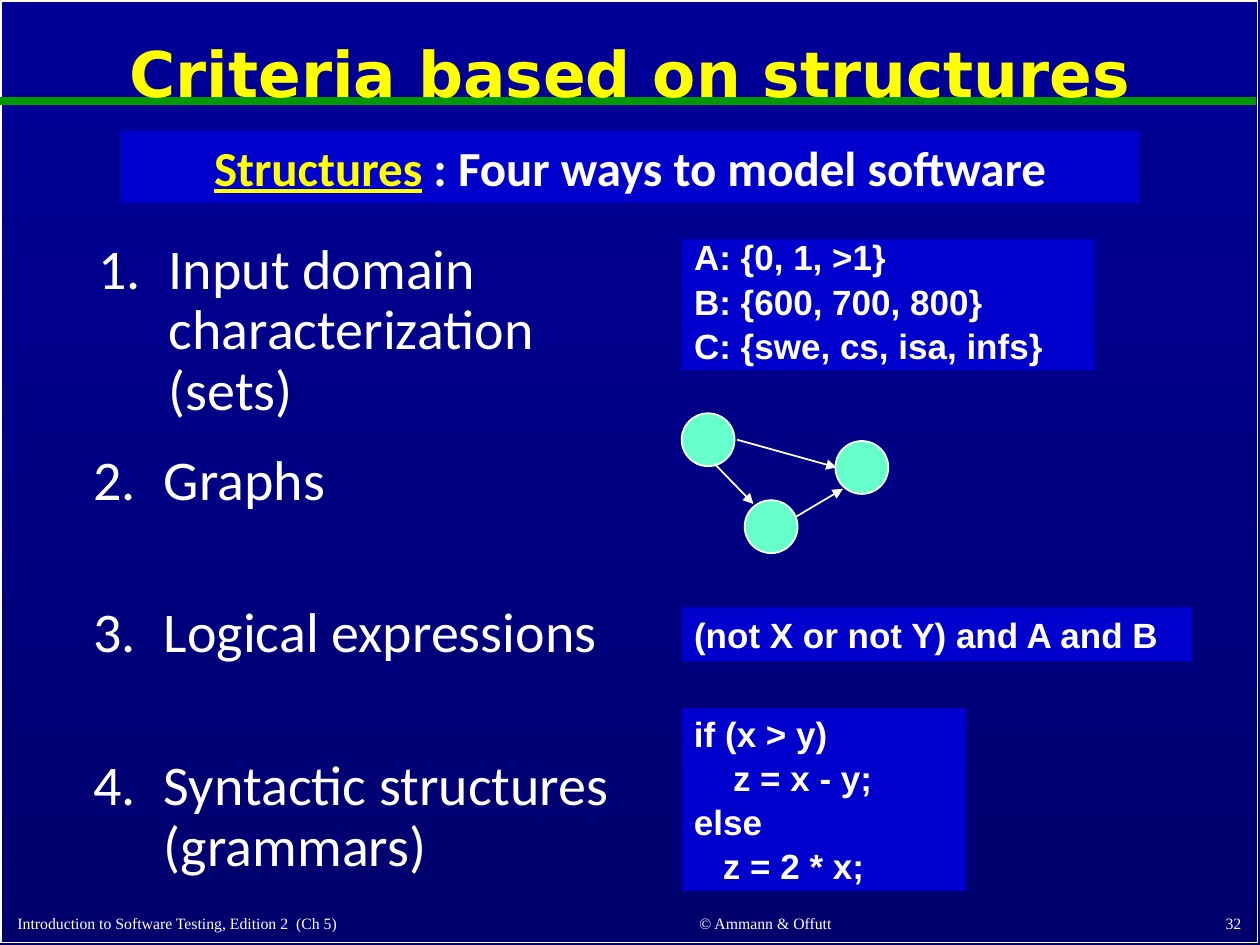
from lxml import etree
from pptx import Presentation
from pptx.dml.color import RGBColor
from pptx.enum.shapes import MSO_CONNECTOR, MSO_SHAPE
from pptx.enum.text import MSO_ANCHOR, MSO_AUTO_SIZE, PP_ALIGN
from pptx.oxml.ns import qn
from pptx.util import Inches, Pt

WHITE = RGBColor(0xFF, 0xFF, 0xFF)
YELLOW = RGBColor(0xFF, 0xFF, 0x00)
GREEN = RGBColor(0x00, 0x99, 0x00)
PANEL_BLUE = RGBColor(0x00, 0x00, 0xCC)
MINT = RGBColor(0x66, 0xFF, 0xCC)
TOP_BLUE = RGBColor(0x00, 0x00, 0x99)
BOTTOM_BLUE = RGBColor(0x00, 0x00, 0x6D)
LEFT, CENTER, RIGHT = PP_ALIGN.LEFT, PP_ALIGN.CENTER, PP_ALIGN.RIGHT
TOP, MIDDLE, BOTTOM = MSO_ANCHOR.TOP, MSO_ANCHOR.MIDDLE, MSO_ANCHOR.BOTTOM
RECTANGLE, OVAL = MSO_SHAPE.RECTANGLE, MSO_SHAPE.OVAL
STRAIGHT = MSO_CONNECTOR.STRAIGHT
NO_AUTOFIT = MSO_AUTO_SIZE.NONE


def write(shape, text, font, size, color=WHITE, bold=False, align=LEFT,
          anchor=MIDDLE, spacing=1.0):
    """Fill a shape with text in one uniform format."""
    frame = shape.text_frame
    frame.text = text
    frame.word_wrap = True
    frame.auto_size = NO_AUTOFIT
    frame.vertical_anchor = anchor
    for paragraph in frame.paragraphs:
        paragraph.alignment = align
        paragraph.line_spacing = spacing
        paragraph.space_before = Pt(0)
        for run in paragraph.runs:
            run.font.name = font
            run.font.size = Pt(size)
            run.font.bold = bold
            run.font.color.rgb = color
    return frame


def add_line(shapes, x1, y1, x2, y2, color, width):
    line = shapes.add_connector(STRAIGHT, Inches(x1), Inches(y1), Inches(x2), Inches(y2))
    line.line.color.rgb = color
    line.line.width = Pt(width)
    etree.SubElement(line._element.spPr, qn("a:effectLst"))
    return line


prs = Presentation()
prs.slide_width, prs.slide_height = Inches(10), Inches(7.5)
# The comparison layout offers a title and four body placeholders.
slide = prs.slides.add_slide(prs.slide_layouts[4])
shapes = slide.shapes

background = slide.background.fill
background.gradient()
background.gradient_angle = 270
for stop, color, position in zip(background.gradient_stops, (TOP_BLUE, BOTTOM_BLUE), (0, 1)):
    stop.color.rgb = color
    stop.position = position

# Frame and rule lie behind the title
frame_border = shapes.add_shape(RECTANGLE, Inches(0.01), Inches(0.01), Inches(9.97), Inches(7.47))
frame_border.shadow.inherit = False
frame_border.fill.background()
frame_border.line.color.rgb = WHITE
frame_border.line.width = Pt(1)
title_rule = add_line(shapes, 0, 0.8, 9.97, 0.8, GREEN, 4.5)
for backdrop in (title_rule, frame_border):
    shapes._spTree.insert(2, backdrop._element)

title = shapes.title
title.left, title.top, title.width, title.height = map(Inches, (0.05, 0.11, 9.9, 1))
write(title, "Criteria based on structures", "DejaVu Sans", 36, YELLOW, True, CENTER, spacing=0.9)

# Footer
for text, left, width, align in (
    ("Introduction to Software Testing, Edition 2  (Ch 5)", 0.04, 4.2, LEFT),
    ("© Ammann & Offutt", 4.49, 3.17, CENTER),
    ("32", 7.87, 2.08, RIGHT),
):
    footer = shapes.add_textbox(Inches(left), Inches(7.17), Inches(width), Inches(0.28))
    write(footer, text, "Times New Roman", 9, align=align, anchor=BOTTOM)

# Numbered ways to model software
ways = (
    ("Input domain characterization (sets)", 0.68, 1.9, 1.46),
    ("Graphs", 0.64, 3.51, 0.64),
    ("Logical expressions", 0.64, 4.63, 0.81),
    ("Syntactic structures (grammars)", 0.64, 5.91, 1.16),
)
bodies = [holder for holder in slide.placeholders if holder.placeholder_format.idx > 0]
for number, (body, (text, left, top, height)) in enumerate(zip(bodies, ways), 1):
    body.left, body.top, body.width, body.height = map(Inches, (left, top, 4.39, height))
    way = write(body, text, "Calibri", 32, spacing=0.9).paragraphs[0]
    properties = way._p.get_or_add_pPr()
    properties.set("marL", str(Inches(0.56)))
    properties.set("indent", str(-Inches(0.56)))
    bullet_color = etree.SubElement(properties, qn("a:buClr"))
    etree.SubElement(bullet_color, qn("a:srgbClr"), val=str(WHITE))
    etree.SubElement(properties, qn("a:buFont"), typeface="Calibri")
    etree.SubElement(properties, qn("a:buAutoNum"), type="arabicPeriod", startAt=str(number))

# Blue panels: heading and one example for each textual structure
panels = []
for text, box, font, size, align, anchor, spacing in (
    ("Structures : Four ways to model software", (0.96, 1.04, 8.08, 0.57),
     "Calibri", 28, CENTER, TOP, 1.0),
    ("A: {0, 1, >1}\nB: {600, 700, 800}\nC: {swe, cs, isa, infs}", (5.41, 1.9, 3.28, 1.04),
     "Arial", 20, LEFT, BOTTOM, 0.6),
    ("(not X or not Y) and A and B", (5.41, 4.82, 4.05, 0.43),
     "Arial", 20, LEFT, TOP, 1.0),
    ("if (x > y)\nz = x - y;\nelse\nz = 2 * x;", (5.41, 5.62, 2.26, 1.45),
     "Arial", 20, LEFT, BOTTOM, 0.6),
):
    panel = shapes.add_shape(RECTANGLE, *map(Inches, box))
    panel.shadow.inherit = False
    panel.fill.solid()
    panel.fill.fore_color.rgb = PANEL_BLUE
    panel.line.fill.background()
    content = write(panel, text, font, size, bold=True, align=align, anchor=anchor, spacing=spacing)
    for paragraph in content.paragraphs[1:]:
        paragraph.space_before = Pt(10.8)
    panels.append(content)

heading, code = panels[0].paragraphs[0], panels[-1]
keyword = heading.runs[0]
keyword.text = "Structures"
keyword.font.underline = True
keyword.font.color.rgb = YELLOW
remainder = heading.add_run()
remainder.text = " : Four ways to model software"
remainder.font.name = "Calibri"
remainder.font.size = Pt(28)
remainder.font.bold = True
remainder.font.color.rgb = WHITE

for line_index, indent in ((1, 0.31), (3, 0.23)):
    code.paragraphs[line_index]._p.get_or_add_pPr().set("marL", str(Inches(indent)))

# Example graph
graph = shapes.add_group_shape().shapes
for left, top in ((5.41, 3.28), (6.63, 3.5), (5.91, 3.97)):
    node = graph.add_shape(OVAL, Inches(left), Inches(top), Inches(0.42), Inches(0.42))
    node.shadow.inherit = False
    node.fill.solid()
    node.fill.fore_color.rgb = MINT
    node.line.color.rgb = WHITE
    node.line.width = Pt(1)
for ends in ((5.85, 3.49, 6.64, 3.71), (5.67, 3.68, 5.98, 4), (6.32, 4.1, 6.69, 3.88)):
    edge = add_line(graph, *ends, WHITE, 1)
    etree.SubElement(edge.line._get_or_add_ln(), qn("a:tailEnd"), type="triangle")

prs.save("out.pptx")
